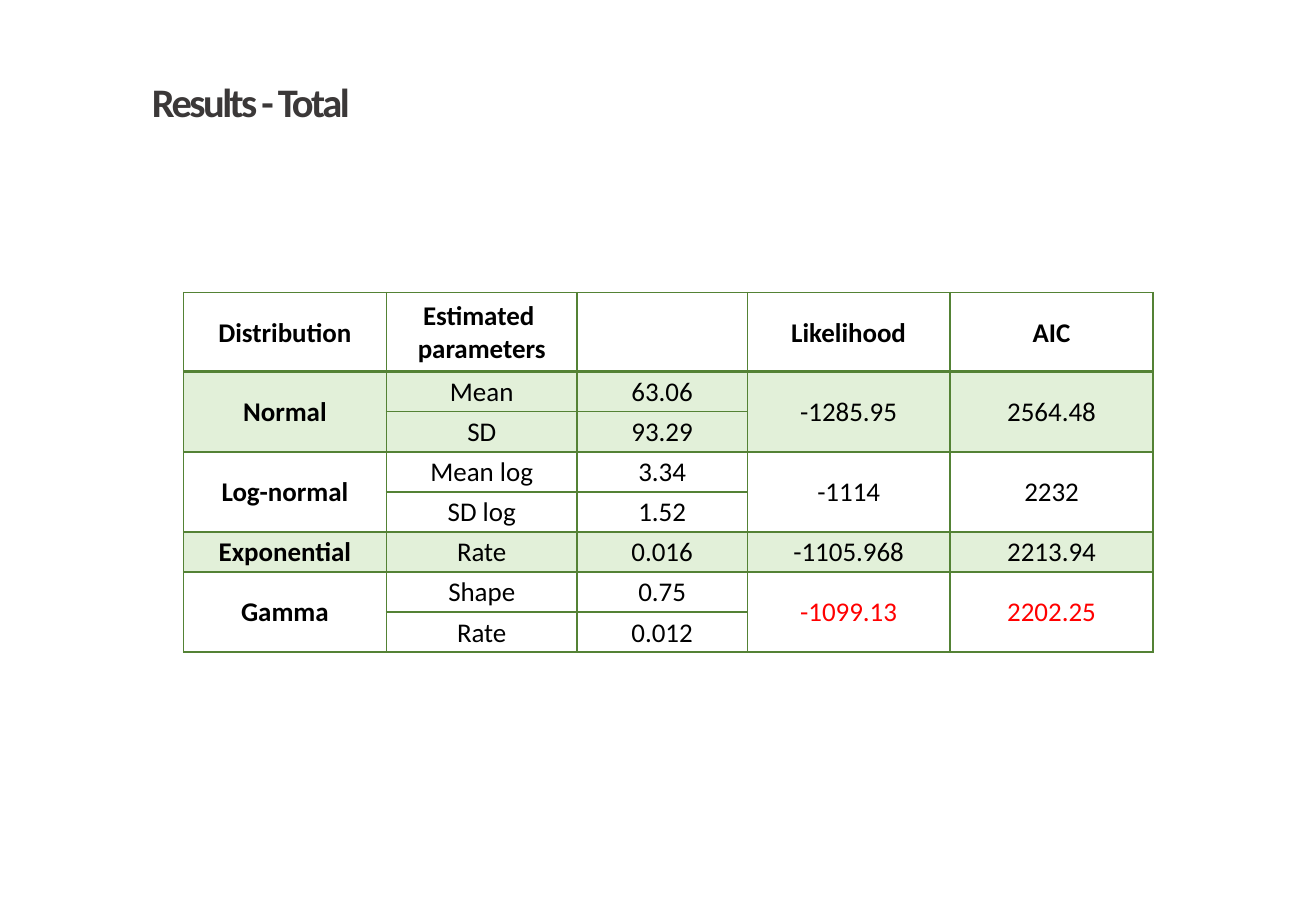
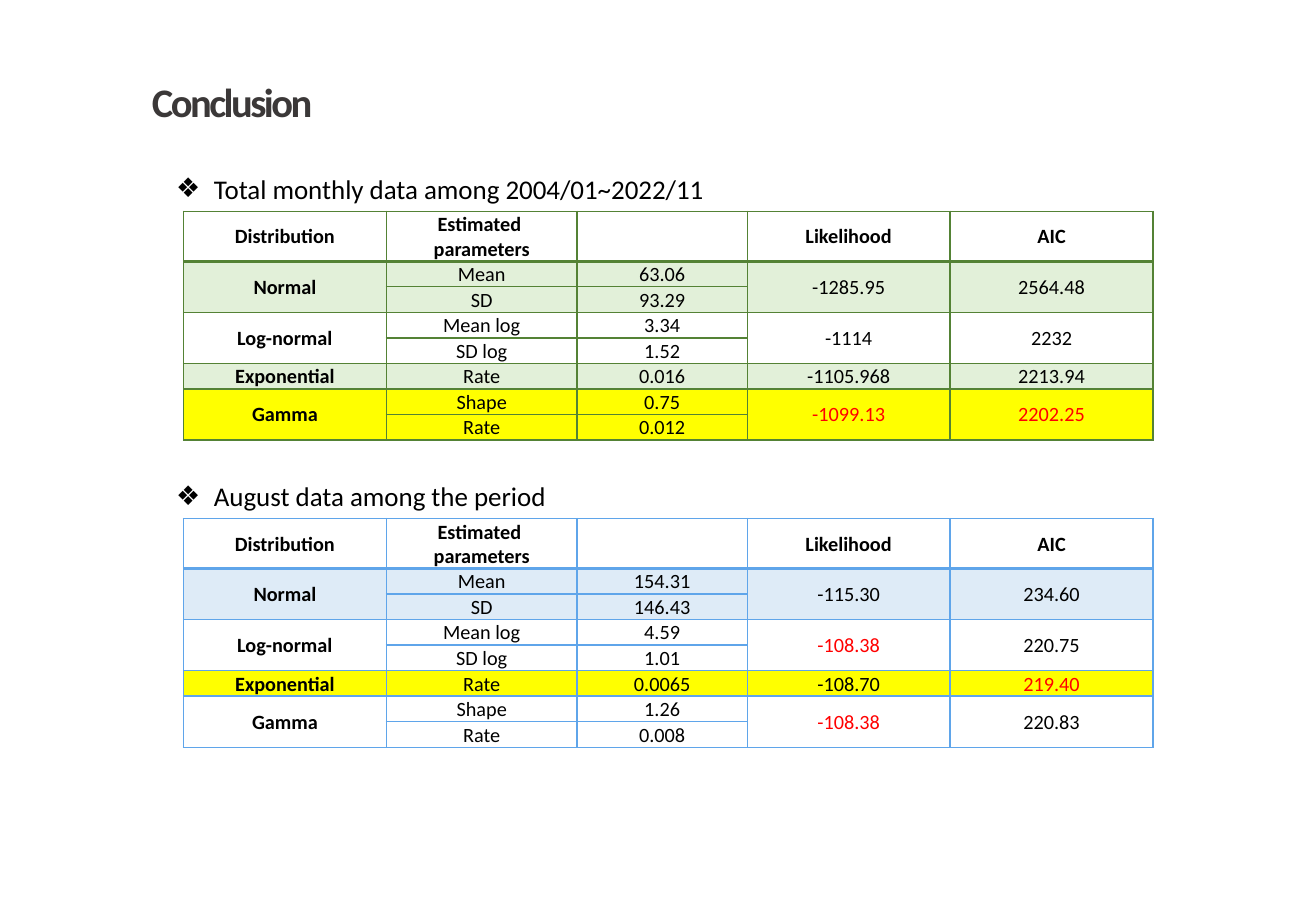
from typing import NamedTuple

from lxml import etree
from pptx import Presentation
from pptx.dml.color import RGBColor
from pptx.enum import text as t
from pptx.oxml.ns import qn
from pptx.util import Inches, Pt

FONT = "Calibri"
COLORS = {
    "title": "3B3838", "text": "000000", "best": "FF0000", "highlight": "FFFF00",
    "green": "548235", "green_tint": "E2F0D9",
    "blue": "5FA5EA", "blue_tint": "DEEBF7",
}
TITLE_AND_TWO_BODIES = 3
TITLE_ONLY = 5
TABLE_LEFT = 1.51
COLUMN_WIDTHS = [1.67, 1.57, 1.4, 1.67, 1.67]
HEADINGS = ["Distribution", "Estimated \nparameters", "", "Likelihood", "AIC"]


class Fit(NamedTuple):
    """One fitted distribution with its (parameter, estimate) pairs."""
    name: str
    parameters: list
    likelihood: str
    aic: str


TOTAL_FITS = [
    Fit("Normal", [("Mean", "63.06"), ("SD", "93.29")], "-1285.95", "2564.48"),
    Fit("Log-normal", [("Mean log", "3.34"), ("SD log", "1.52")], "-1114", "2232"),
    Fit("Exponential", [("Rate", "0.016")], "-1105.968", "2213.94"),
    Fit("Gamma", [("Shape", "0.75"), ("Rate", "0.012")], "-1099.13", "2202.25"),
]
AUGUST_FITS = [
    Fit("Normal", [("Mean", "154.31"), ("SD", "146.43")], "-115.30", "234.60"),
    Fit("Log-normal", [("Mean log", "4.59"), ("SD log", "1.01")], "-108.38", "220.75"),
    Fit("Exponential", [("Rate", "0.0065")], "-108.70", "219.40"),
    Fit("Gamma", [("Shape", "1.26"), ("Rate", "0.008")], "-108.38", "220.83"),
]


def rgb(name):
    return RGBColor.from_string(COLORS[name])


def write(frame, text, *, size, color="text", bold=False, align=t.PP_ALIGN.LEFT,
          spacing=None, bullet=None):
    """Fill a text frame, one paragraph per line; spacing is between letters, in points."""
    for index, line in enumerate(text.split("\n")):
        para = frame.paragraphs[0] if index == 0 else frame.add_paragraph()
        para.alignment = align
        para.space_before = Pt(0)
        if bullet:
            props = para._p.get_or_add_pPr()
            props.set("marL", str(Inches(0.31)))
            props.set("indent", str(-Inches(0.31)))
            etree.SubElement(props, qn("a:buChar"), char=bullet)
        if not line:
            etree.SubElement(para._p, qn("a:endParaRPr"), sz=str(size * 100))
            continue
        span = para.add_run()
        span.text = line
        span.font.name = FONT
        span.font.size = Pt(size)
        span.font.bold = bold
        span.font.color.rgb = rgb(color)
        if spacing is not None:
            span.font._element.set("spc", str(int(spacing * 100)))


def fill_placeholder(box, text, left, top, width, height, **style):
    box.left, box.top = Inches(left), Inches(top)
    box.width, box.height = Inches(width), Inches(height)
    frame = box.text_frame
    frame.word_wrap = True
    frame.auto_size = t.MSO_AUTO_SIZE.SHAPE_TO_FIT_TEXT
    frame.vertical_anchor = t.MSO_ANCHOR.TOP
    write(frame, text, **style)


def add_page(deck, layout, title):
    page = deck.slides.add_slide(deck.slide_layouts[layout])
    fill_placeholder(page.shapes.title, title, 1.15, 0.58, 4.35, 0.5,
                     size=24, color="title", bold=True, spacing=-1.5)
    return page


def set_borders(cell, color, widths):
    """Widths, in points, are for left, right, top and bottom."""
    props = cell._tc.get_or_add_tcPr()
    for side, width in zip("LRTB", widths):
        line = etree.SubElement(props, qn(f"a:ln{side}"), w=str(Pt(width)))
        fill = etree.SubElement(line, qn("a:solidFill"))
        etree.SubElement(fill, qn("a:srgbClr"), val=COLORS[color])


def format_cell(cell, border, widths, fill):
    cell.margin_left = cell.margin_right = cell.margin_top = Inches(0.01)
    cell.margin_bottom = 0
    cell.vertical_anchor = t.MSO_ANCHOR.MIDDLE
    set_borders(cell, border, widths)
    if fill:
        cell.fill.solid()
        cell.fill.fore_color.rgb = rgb(fill)
    else:
        cell.fill.background()


def add_fit_table(page, fits, top, *, theme, size, header_height, row_height,
                  highlight_best=False):
    """Tabulate the fits; the highest likelihood and the lowest AIC are in red."""
    best_likelihood = max(float(fit.likelihood) for fit in fits)
    best_aic = min(float(fit.aic) for fit in fits)
    row_count = 1 + sum(len(fit.parameters) for fit in fits)
    height = header_height + row_height * (row_count - 1)
    table = page.shapes.add_table(
        row_count, len(HEADINGS), Inches(TABLE_LEFT), Inches(top),
        Inches(sum(COLUMN_WIDTHS)), Inches(height)).table
    table.first_row = table.horz_banding = False
    for column, width in zip(table.columns, COLUMN_WIDTHS):
        column.width = Inches(width)
    for index, row in enumerate(table.rows):
        row.height = Inches(row_height if index else header_height)

    def put(row, column, text, fill=None, **style):
        cell = table.cell(row, column)
        widths = (1, 1, 2.25 if row == 1 else 1, 2.25 if row == 0 else 1)
        format_cell(cell, theme, widths, fill)
        write(cell.text_frame, text, size=size, align=t.PP_ALIGN.CENTER, **style)

    for column, heading in enumerate(HEADINGS):
        put(0, column, heading, bold=True)
    first = 1
    for index, fit in enumerate(fits):
        is_best = float(fit.aic) == best_aic
        fill = f"{theme}_tint" if index % 2 == 0 else None
        if highlight_best and is_best:
            fill = "highlight"
        likelihood_color = "best" if float(fit.likelihood) == best_likelihood else "text"
        last = first + len(fit.parameters) - 1
        for row, (parameter, estimate) in enumerate(fit.parameters, first):
            shown = row == first
            put(row, 0, fit.name if shown else "", fill, bold=True)
            put(row, 1, parameter, fill)
            put(row, 2, estimate, fill)
            put(row, 3, fit.likelihood if shown else "", fill, color=likelihood_color)
            put(row, 4, fit.aic if shown else "", fill, color="best" if is_best else "text")
        if last > first:
            for column in (0, 3, 4):
                table.cell(first, column).merge(table.cell(last, column))
        first = last + 1


def main():
    deck = Presentation()
    deck.slide_width, deck.slide_height = Inches(10.83), Inches(7.5)

    results = add_page(deck, TITLE_ONLY, "Results - Total")
    add_fit_table(results, TOTAL_FITS, 2.41, theme="green", size=16,
                  header_height=0.65, row_height=0.33)

    conclusion = add_page(deck, TITLE_AND_TWO_BODIES, "Conclusion")
    sections = [
        ("Total monthly data among 2004/01~2022/11", 1.37, TOTAL_FITS, "green"),
        ("August data among the period", 3.9, AUGUST_FITS, "blue"),
    ]
    for index, (caption, top, fits, theme) in enumerate(sections, 1):
        fill_placeholder(conclusion.placeholders[index], caption, 1.35, top, 6.32, 0.37,
                         size=16, bullet="❖")
        add_fit_table(conclusion, fits, top + 0.37, theme=theme, size=12,
                      header_height=0.41, row_height=0.21, highlight_best=True)

    deck.save("out.pptx")


if __name__ == "__main__":
    main()
